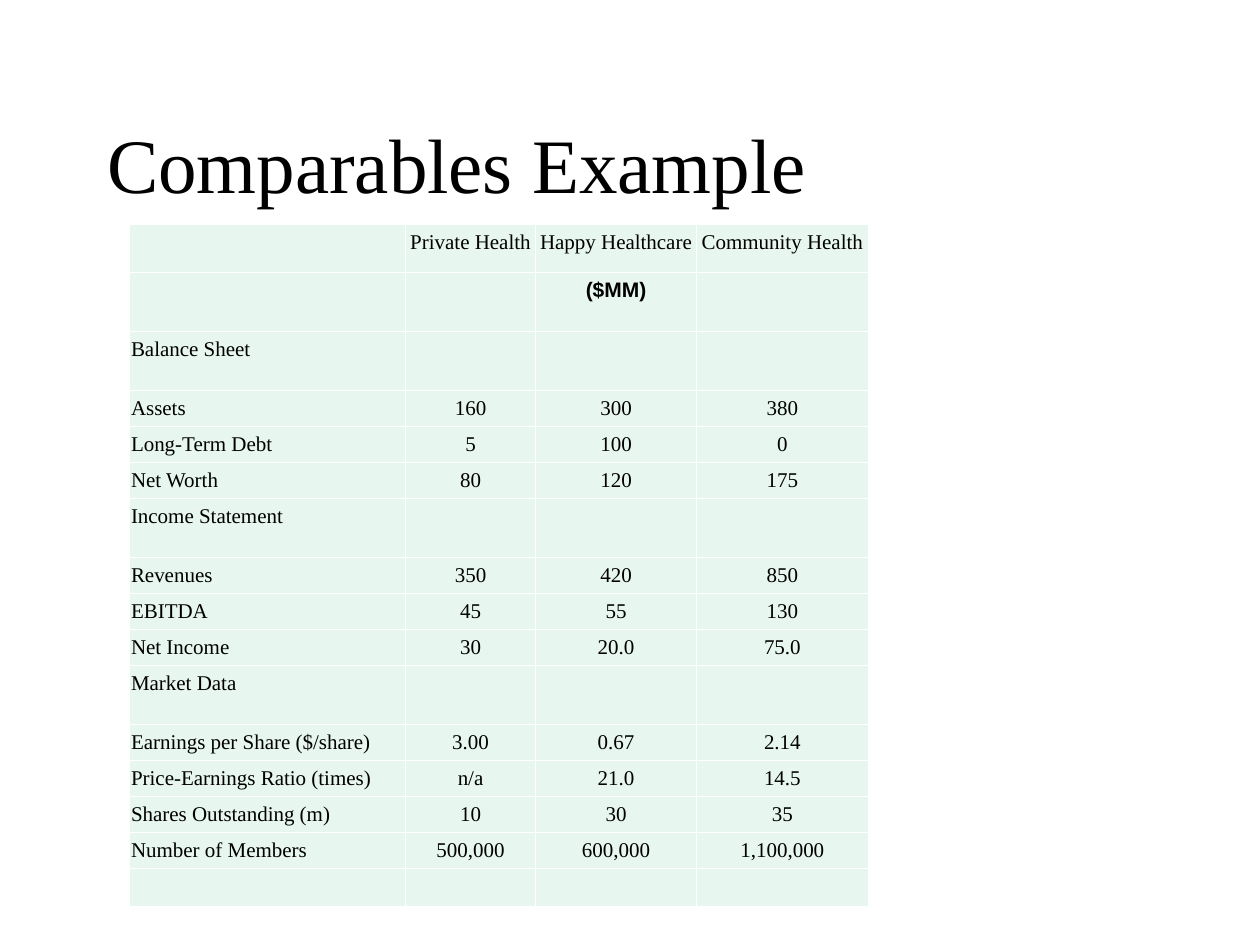
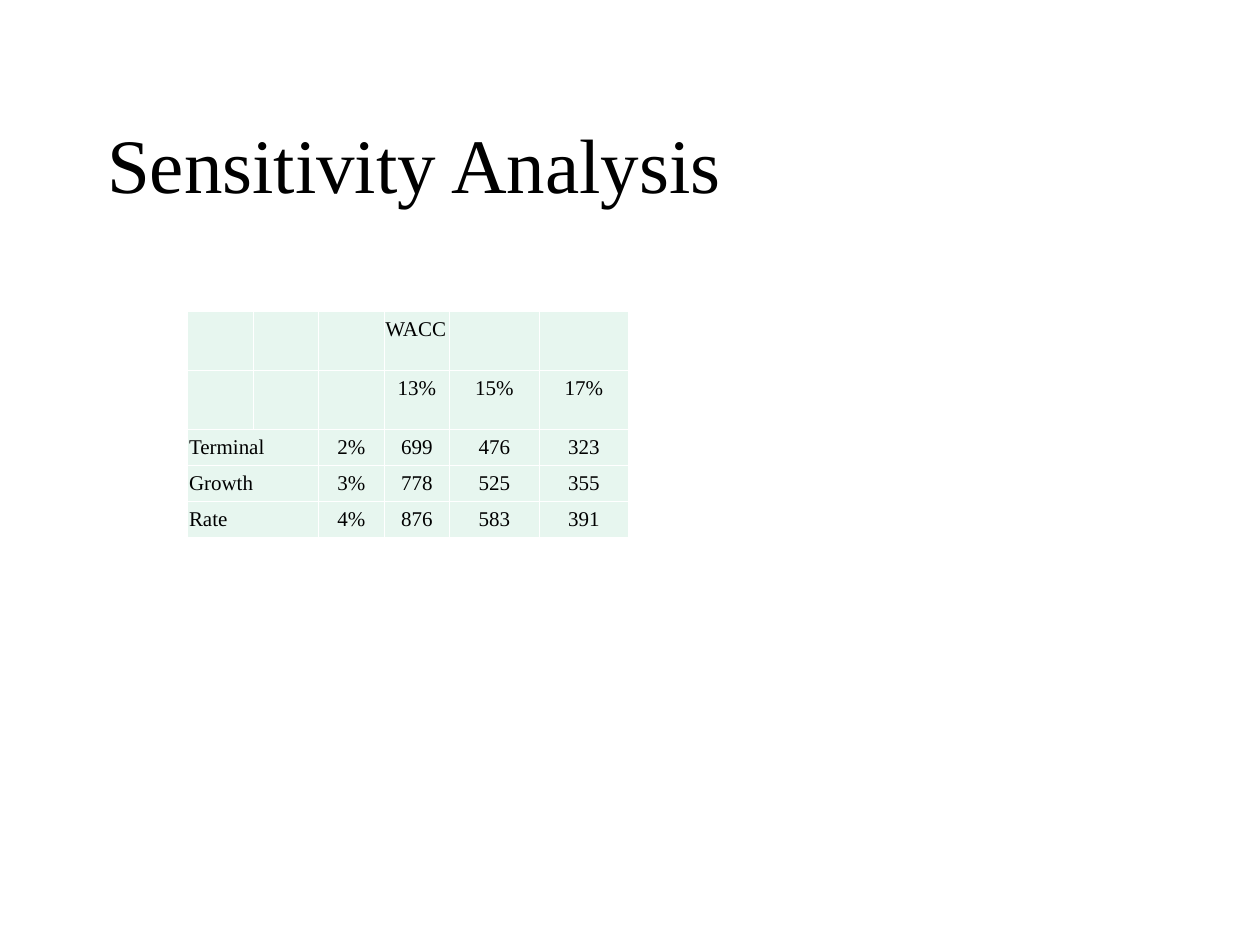
from dataclasses import dataclass

from lxml import etree
from pptx import Presentation
from pptx.dml.color import RGBColor
from pptx.enum.text import MSO_ANCHOR, PP_ALIGN
from pptx.oxml.ns import qn
from pptx.util import Inches, Pt

LEFT, CENTER = PP_ALIGN.LEFT, PP_ALIGN.CENTER
TOP, MIDDLE = MSO_ANCHOR.TOP, MSO_ANCHOR.MIDDLE

# Shared look
BLACK = RGBColor(0x00, 0x00, 0x00)
MINT = RGBColor(0xE7, 0xF6, 0xEF)
WHITE = RGBColor(0xFF, 0xFF, 0xFF)
SERIF, SANS = "Times New Roman", "Arial"
TITLE_FONT = {"name": SERIF, "size": Pt(44), "bold": False}
BODY_FONT = {"name": SERIF, "size": Pt(12), "bold": False}
UNIT_FONT = {"name": SANS, "size": Pt(12), "bold": True}
TITLE_BOX = {"left": Inches(0.75), "top": Inches(0.67),
             "width": Inches(8.5), "height": Inches(1.25)}
CELL_FORMAT = {"margin_left": Inches(0.01), "margin_right": Inches(0.01),
               "margin_top": Inches(0.05), "margin_bottom": Inches(0.05),
               "vertical_anchor": TOP}
PLAIN_TABLE = {"first_row": False, "horz_banding": False}
GRID_WIDTH = Pt(0.45)
TITLE_ONLY = 5

# Row heights in inches
HEADING, SECTION, FIGURES = 0.38, 0.47, 0.285
UNIT = "($MM)"
RATE_HEADING = "WACC"


@dataclass(frozen=True)
class Row:
    height: float
    cells: tuple[str, ...] = ()


@dataclass(frozen=True)
class TableSlide:
    title: str
    left: float
    top: float
    columns: tuple[float, ...]
    rows: tuple[Row, ...]
    label_columns: int = 1


COMPARABLES = TableSlide(
    "Comparables Example", 1.03, 1.78, (2.19, 1.03, 1.28, 1.36),
    (
        Row(HEADING, ("", "Private Health", "Happy Healthcare", "Community Health")),
        Row(SECTION, ("", "", UNIT)),
        Row(SECTION, ("Balance Sheet",)),
        Row(FIGURES, ("Assets", "160", "300", "380")),
        Row(FIGURES, ("Long-Term Debt", "5", "100", "0")),
        Row(FIGURES, ("Net Worth", "80", "120", "175")),
        Row(SECTION, ("Income Statement",)),
        Row(FIGURES, ("Revenues", "350", "420", "850")),
        Row(FIGURES, ("EBITDA", "45", "55", "130")),
        Row(FIGURES, ("Net Income", "30", "20.0", "75.0")),
        Row(SECTION, ("Market Data",)),
        Row(FIGURES, ("Earnings per Share ($/share)", "3.00", "0.67", "2.14")),
        Row(FIGURES, ("Price-Earnings Ratio (times)", "n/a", "21.0", "14.5")),
        Row(FIGURES, ("Shares Outstanding (m)", "10", "30", "35")),
        Row(FIGURES, ("Number of Members", "500,000", "600,000", "1,100,000")),
        Row(FIGURES),
    ),
)

SENSITIVITY = TableSlide(
    "Sensitivity Analysis", 1.49, 2.47, (0.52, 0.52, 0.52, 0.52, 0.71, 0.71),
    (
        Row(SECTION, ("", "", "", RATE_HEADING)),
        Row(SECTION, ("", "", "", "13%", "15%", "17%")),
        Row(FIGURES, ("Terminal", "", "2%", "699", "476", "323")),
        Row(FIGURES, ("Growth", "", "3%", "778", "525", "355")),
        Row(FIGURES, ("Rate", "", "4%", "876", "583", "391")),
    ),
    label_columns=2,
)


def apply(target, values: dict) -> None:
    for attribute, value in values.items():
        setattr(target, attribute, value)


def write(paragraph, text: str, font_values: dict) -> None:
    run = paragraph.add_run()
    run.text = text
    apply(run.font, font_values)
    run.font.color.rgb = BLACK


def add_borders(cell) -> None:
    properties = cell._tc.get_or_add_tcPr()
    for side in ("lnL", "lnR", "lnT", "lnB"):
        line = etree.SubElement(properties, qn(f"a:{side}"), w=str(int(GRID_WIDTH)))
        fill = etree.SubElement(line, qn("a:solidFill"))
        etree.SubElement(fill, qn("a:srgbClr"), val=str(WHITE))


def format_cell(cell, text: str, is_label: bool) -> None:
    apply(cell, CELL_FORMAT)
    add_borders(cell)
    cell.fill.solid()
    cell.fill.fore_color.rgb = MINT
    paragraph = cell.text_frame.paragraphs[0]
    paragraph.alignment = LEFT if is_label or text == RATE_HEADING else CENTER
    if text:
        write(paragraph, text, UNIT_FONT if text == UNIT else BODY_FONT)
    else:
        # Keep empty cells from stretching their row
        end = etree.SubElement(paragraph._p, qn("a:endParaRPr"))
        end.set("sz", str(int(BODY_FONT["size"].pt * 100)))


def add_title(slide, text: str) -> None:
    title = slide.shapes.title
    apply(title, TITLE_BOX)
    title.text_frame.vertical_anchor = MIDDLE
    paragraph = title.text_frame.paragraphs[0]
    paragraph.alignment = LEFT
    write(paragraph, text, TITLE_FONT)


def add_figures(slide, content: TableSlide) -> None:
    frame = slide.shapes.add_table(
        len(content.rows), len(content.columns),
        Inches(content.left), Inches(content.top),
        Inches(sum(content.columns)), Inches(sum(row.height for row in content.rows)))
    table = frame.table
    apply(table, PLAIN_TABLE)
    for column, width in zip(table.columns, content.columns):
        column.width = Inches(width)
    for r, row in enumerate(content.rows):
        table.rows[r].height = Inches(row.height)
        for c in range(len(content.columns)):
            text = row.cells[c] if c < len(row.cells) else ""
            format_cell(table.cell(r, c), text, c == 0)
        # A row label runs across all label columns
        if content.label_columns > 1 and row.cells[0]:
            table.cell(r, 0).merge(table.cell(r, content.label_columns - 1))


def main() -> None:
    deck = Presentation()
    deck.slide_width, deck.slide_height = Inches(10), Inches(7.5)
    for content in (COMPARABLES, SENSITIVITY):
        slide = deck.slides.add_slide(deck.slide_layouts[TITLE_ONLY])
        add_title(slide, content.title)
        add_figures(slide, content)
    deck.save("out.pptx")


if __name__ == "__main__":
    main()
